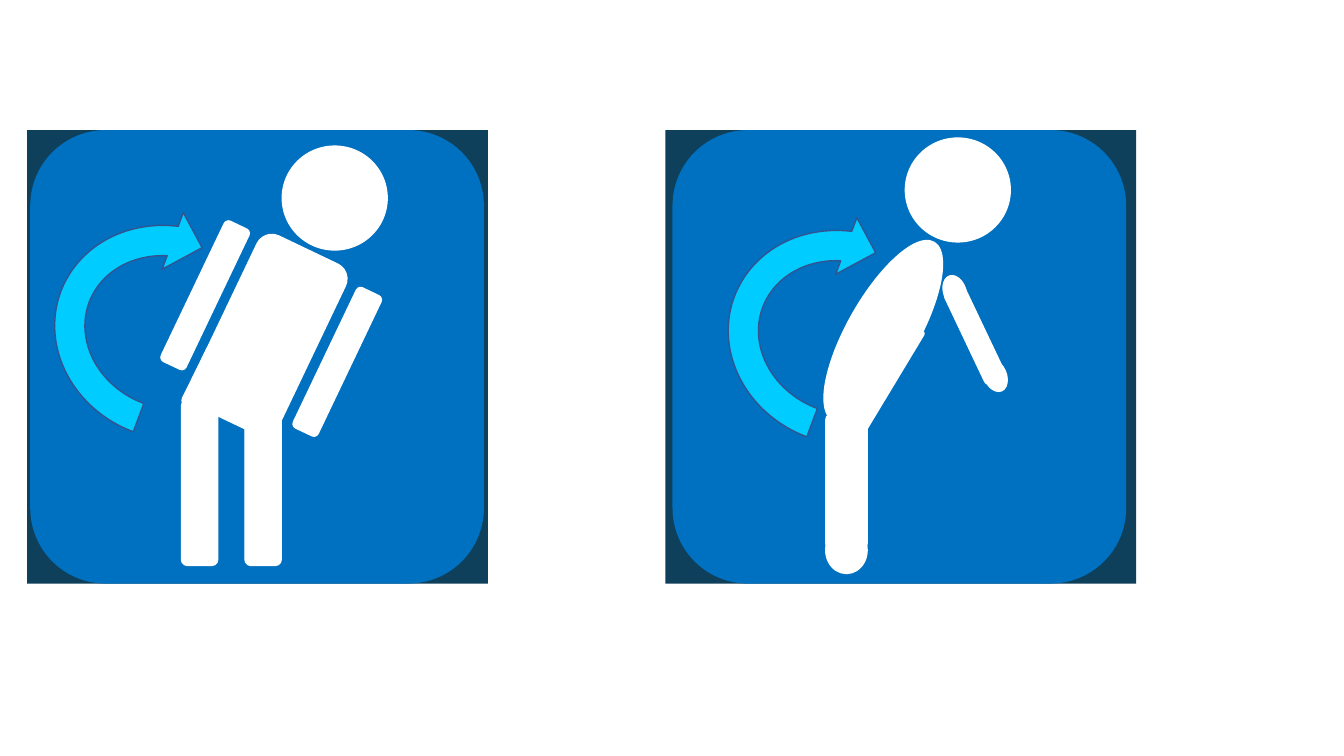
from pptx import Presentation
from pptx import util as u
from pptx.dml.color import RGBColor
from pptx.enum import shapes

NAVY = RGBColor(0x0E, 0x40, 0x5B)
BLUE = RGBColor(0x00, 0x70, 0xC0)
CYAN = RGBColor(0x00, 0xCC, 0xFF)
ARROW_EDGE = RGBColor(0x32, 0x54, 0x91)
WHITE = RGBColor(0xFF, 0xFF, 0xFF)

PANEL_TOP = 1.29
PANEL_SIZE = 4.5
HEAD = (1.04, 1.03)
ARM = (0.27, 1.54)
LEG = (0.36, 1.64)
HAND = (0.22, 0.33)
LEAN = 25.5


class SignPage:
    """Draws each sign as one group on the page."""

    def __init__(self, page):
        self.page = page
        self.group = None

    def shape(self, kind, left, top, size, fill, edge=None, turn=0):
        lengths = [u.Inches(value) for value in (left, top, *size)]
        shape = self.group.shapes.add_shape(kind, *lengths)
        shape.shadow.inherit = False
        shape.rotation = turn
        shape.fill.solid()
        shape.fill.fore_color.rgb = fill
        if edge is None:
            shape.line.fill.background()
        else:
            shape.line.color.rgb = edge
            shape.line.width = u.Pt(1)

    def panel(self, back_left, back_width, front_left):
        """Start a new sign: dark backing under a rounded blue plate."""
        self.group = self.page.shapes.add_group_shape()
        self.shape(shapes.MSO_SHAPE.RECTANGLE, back_left, PANEL_TOP,
                   (back_width, PANEL_SIZE), NAVY)
        self.shape(shapes.MSO_SHAPE.ROUNDED_RECTANGLE, front_left, PANEL_TOP,
                   (PANEL_SIZE, PANEL_SIZE), BLUE)

    def oval(self, left, top, size, turn=0):
        self.shape(shapes.MSO_SHAPE.OVAL, left, top, size, WHITE, WHITE, turn)

    def limb(self, left, top, size, turn=0):
        self.shape(shapes.MSO_SHAPE.ROUNDED_RECTANGLE, left, top, size,
                   WHITE, WHITE, turn)

    def bend_arrow(self, left, top):
        self.shape(shapes.MSO_SHAPE.CIRCULAR_ARROW, left, top, (2.4, 2.62),
                   CYAN, ARROW_EDGE, 290.5)


def draw_side_bend(sign):
    sign.panel(0.27, 4.57, 0.3)
    sign.oval(2.8, 1.45, HEAD)
    sign.limb(2.17, 2.39, (0.97, 1.87), LEAN)  # torso
    for left, top in ((1.9, 2.16), (3.21, 2.82)):
        sign.limb(left, top, ARM, LEAN)
    for left in (1.8, 2.43):
        sign.limb(left, 3.97, LEG)
    sign.limb(1.74, 3.61, (0.67, 0.31), 296.3)  # hip
    sign.bend_arrow(0.49, 1.99)


def draw_forward_bend(sign):
    sign.panel(6.6, 4.67, 6.67)
    sign.oval(8.19, 5.23, (0.41, 0.46))  # foot
    sign.oval(8.98, 1.37, HEAD)
    sign.oval(8.41, 2.27, (0.7, 2.03), 29.7)  # torso
    sign.limb(8.19, 4.1, (0.41, 1.36))  # leg
    sign.limb(9.56, 2.83, (0.22, 0.99), 334.6)  # arm
    sign.limb(8.73, 3.18, (0.13, 1.25), 31.1)  # belly
    sign.bend_arrow(7.17, 2.04)
    sign.oval(9.36, 2.73, HAND, 341.3)  # shoulder
    sign.oval(9.76, 3.56, HAND, 337.1)


def main():
    deck = Presentation()
    deck.slide_width = u.Inches(13.33)
    deck.slide_height = u.Inches(7.5)
    sign = SignPage(deck.slides.add_slide(deck.slide_layouts[6]))
    draw_side_bend(sign)
    draw_forward_bend(sign)
    deck.save("out.pptx")


if __name__ == "__main__":
    main()
